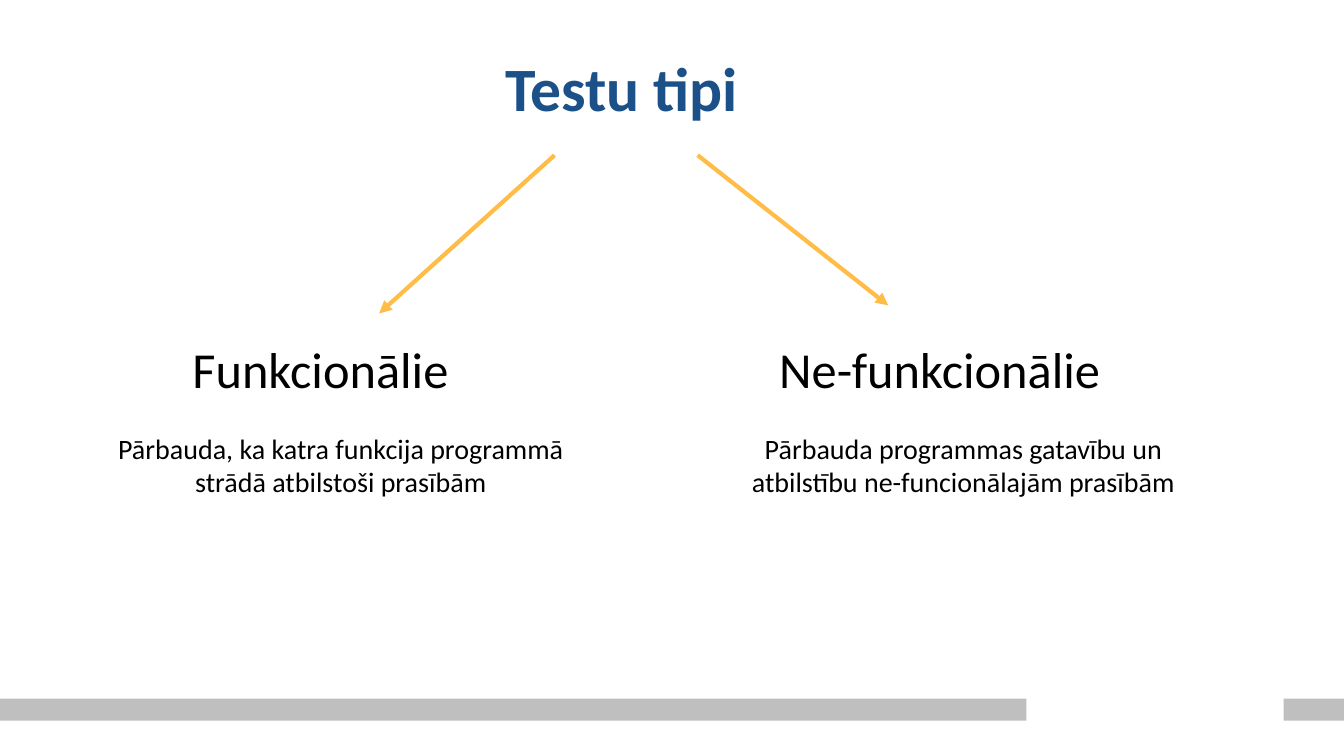
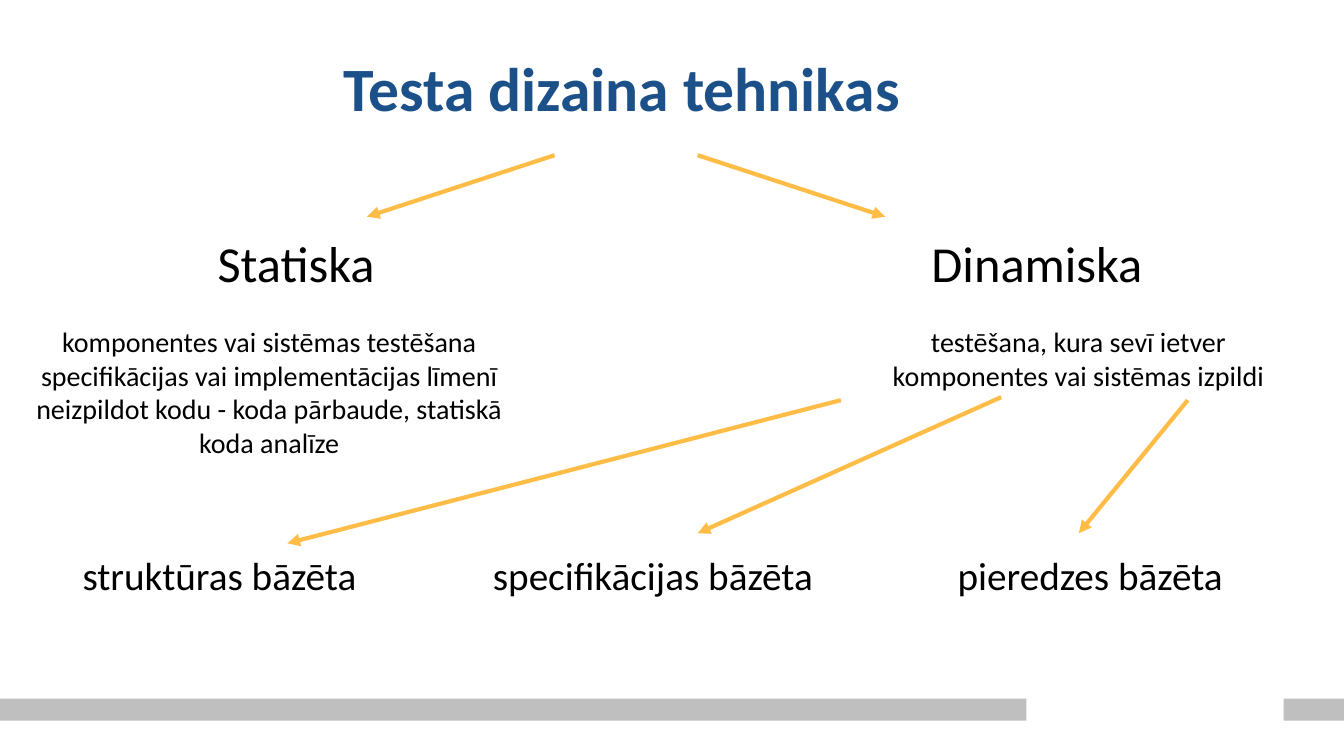
"""Build two slides on test types and test design techniques."""
import pptx
import pptx.dml.color
import pptx.enum.shapes
import pptx.enum.text
import pptx.oxml.ns
import pptx.util
from lxml import etree

Inches = pptx.util.Inches
RGBColor = pptx.dml.color.RGBColor
ALIGN = pptx.enum.text.PP_ALIGN

TITLE_BLUE = RGBColor(0x1B, 0x50, 0x89)
ARROW_ORANGE = RGBColor(0xFF, 0xBD, 0x47)
BAND_GRAY = RGBColor(0xBF, 0xBF, 0xBF)
BLACK = RGBColor(0, 0, 0)
FONT_NAME = "Calibri"
BANDS = [(0, 10.18), (12.73, 0.61)]
DESCRIPTION_OFFSET = 0.92
TITLE_ARROW_TOP = 1.54
TITLE_ARROW_STARTS = [5.5, 6.92]


def add_text(shapes, text, left, top, width, height, size,
             color=BLACK, bold=False, alignment=ALIGN.LEFT):
    box = shapes.add_textbox(Inches(left), Inches(top), Inches(width), Inches(height))
    box.text_frame.word_wrap = True
    paragraph = box.text_frame.paragraphs[0]
    paragraph.text = text
    paragraph.alignment = alignment
    paragraph.font.name = FONT_NAME
    paragraph.font.size = pptx.util.Pt(size)
    paragraph.font.bold = bold
    paragraph.font.color.rgb = color
    return box


def add_title(slide, text):
    title = add_text(slide.shapes, text, 0.42, 0.4, 11.5, 1.01, 44,
                     TITLE_BLUE, True, ALIGN.CENTER)
    title.text_frame.vertical_anchor = pptx.enum.text.MSO_ANCHOR.MIDDLE
    title.text_frame.paragraphs[0].line_spacing = 0.9


def add_bands(slide):
    for left, width in BANDS:
        band = slide.shapes.add_shape(
            pptx.enum.shapes.MSO_SHAPE.RECTANGLE,
            Inches(left), Inches(6.93), Inches(width), Inches(0.22))
        band.shadow.inherit = False
        band.fill.solid()
        band.fill.fore_color.rgb = BAND_GRAY
        band.line.fill.background()


def add_arrow(slide, start, end):
    arrow = slide.shapes.add_connector(
        pptx.enum.shapes.MSO_CONNECTOR.STRAIGHT,
        *[Inches(value) for value in (*start, *end)])
    arrow.line.color.rgb = ARROW_ORANGE
    arrow.line.width = pptx.util.Pt(3)
    properties = arrow.element.spPr
    qn = pptx.oxml.ns.qn
    etree.SubElement(properties.find(qn("a:ln")), qn("a:tailEnd"), type="triangle")
    etree.SubElement(properties, qn("a:effectLst"))


def add_topic(slide, top, heading, description):
    group = slide.shapes.add_group_shape()
    text, left, width = heading
    add_text(group.shapes, text, left, top, width, 0.71, 36)
    text, left, width, height = description
    add_text(group.shapes, text, left, top + DESCRIPTION_OFFSET, width, height, 20,
             alignment=ALIGN.CENTER)


def add_topic_slide(presentation, title, arrow_ends, topic_top, topics):
    slide = presentation.slides.add_slide(presentation.slide_layouts[6])
    add_bands(slide)
    add_title(slide, title)
    for start_left, end in zip(TITLE_ARROW_STARTS, arrow_ends):
        add_arrow(slide, (start_left, TITLE_ARROW_TOP), end)
    for heading, description in topics:
        add_topic(slide, topic_top, heading, description)
    return slide


def add_test_types(presentation):
    add_topic_slide(presentation, "Testu tipi", [(3.76, 3.11), (8.81, 3.03)], 3.31, [
        (("Funkcionālie", 1.81, 2.88),
         ("Pārbauda, ka katra funkcija programmā strādā atbilstoši prasībām",
          0.84, 5.08, 1.11)),
        (("Ne-funkcionālie", 7.63, 3.45),
         ("Pārbauda programmas gatavību un atbilstību ne-funcionālajām prasībām",
          7.2, 4.71, 1.11)),
    ])


def add_design_techniques(presentation):
    slide = add_topic_slide(
        presentation, "Testa dizaina tehnikas", [(3.64, 2.15), (8.78, 2.15)], 2.25, [
            (("Statiska", 2.06, 1.86),
             ("komponentes vai sistēmas testēšana specifikācijas vai implementācijas "
              "līmenī neizpildot kodu - koda pārbaude, statiskā koda analīze",
              0.13, 5.08, 1.45)),
            (("Dinamiska", 9.14, 2.42),
             ("testēšana, kura sevī ietver komponentes vai sistēmas izpildi",
              8.34, 4.71, 0.77)),
        ])
    techniques = [
        ("struktūras bāzēta", 0.72, 2.92, (8.34, 3.97), (2.85, 5.39)),
        ("specifikācijas bāzēta", 4.79, 3.62, (9.93, 3.94), (6.92, 5.29)),
        ("pieredzes bāzēta", 9.4, 3.23, (11.78, 3.97), (10.7, 5.29)),
    ]
    for text, left, width, start, end in techniques:
        add_arrow(slide, start, end)
        add_text(slide.shapes, text, left, 5.42, width, 0.57, 28)


def main():
    presentation = pptx.Presentation()
    presentation.slide_width = Inches(13.33)
    presentation.slide_height = Inches(7.5)
    add_test_types(presentation)
    add_design_techniques(presentation)
    presentation.save("out.pptx")


if __name__ == "__main__":
    main()
